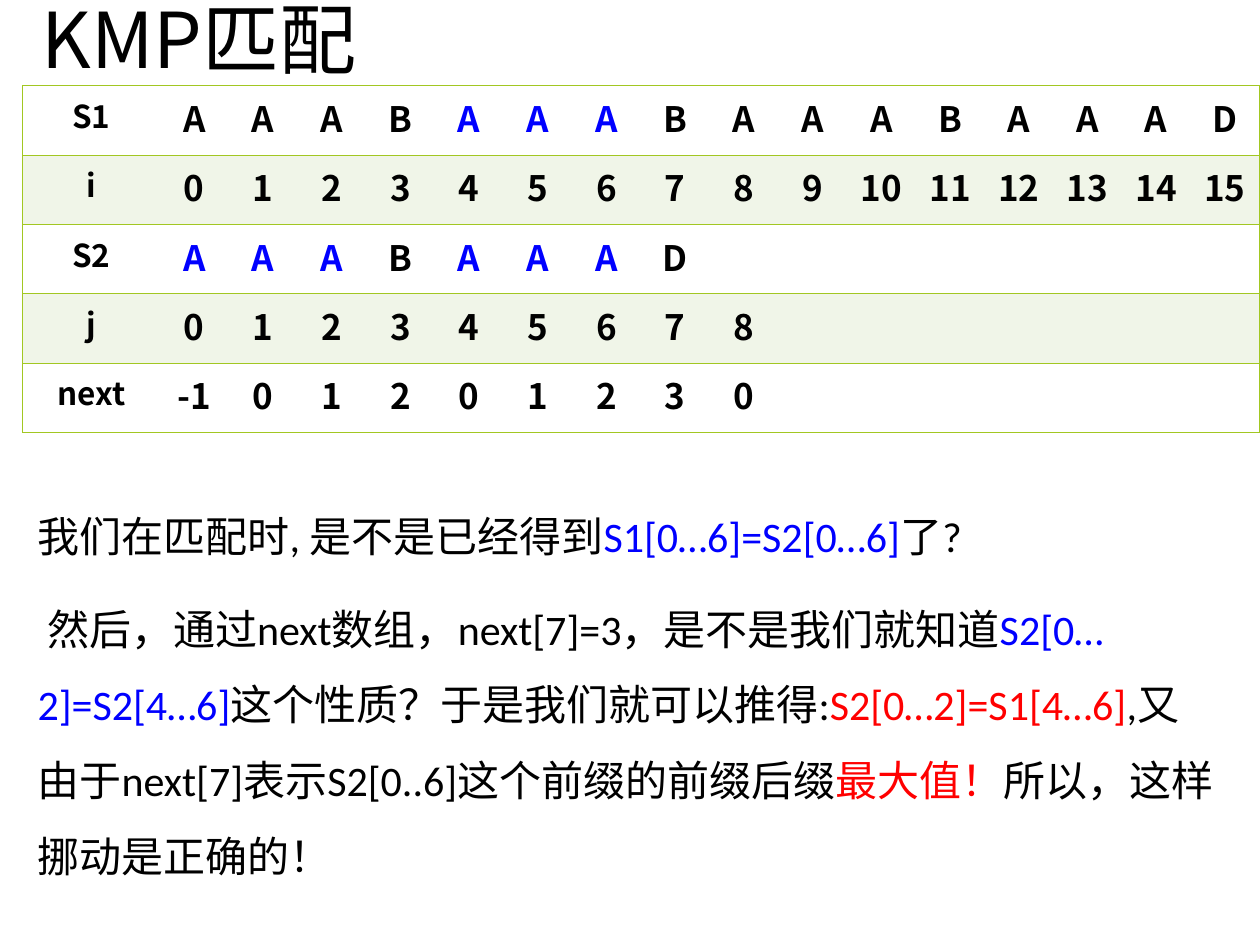
from dataclasses import dataclass

from lxml import etree
from pptx import Presentation
from pptx.dml.color import RGBColor
from pptx.enum.text import MSO_ANCHOR, PP_ALIGN
from pptx.oxml.ns import qn
from pptx.util import Inches, Pt

CENTER = PP_ALIGN.CENTER
LEFT = PP_ALIGN.LEFT
MIDDLE = MSO_ANCHOR.MIDDLE
TABLE_FONT = "Noto Sans CJK SC"
BODY_FONT = "Calibri"
BLACK, BLUE, RED = "000000", "0000FF", "FF0000"
BORDER = "A2C722"
ROW_FILLS = ("FFFFFF", "F0F5E8")
LABEL_WIDTH = 1.09
TABLE_WIDTH = 9.82
VALUE_COUNT = 16
ROW_HEIGHT = 0.55


@dataclass(frozen=True)
class TableRow:
    label: str
    values: tuple[str, ...]
    blue_columns: tuple[int, ...] = ()


@dataclass(frozen=True)
class Span:
    text: str
    color: str = BLACK


ROWS = (
    TableRow("S1", tuple("AAABAAABAAABAAAD"), (4, 5, 6)),
    TableRow("i", tuple(str(i) for i in range(16))),
    TableRow("S2", tuple("AAABAAAD"), (0, 1, 2, 4, 5, 6)),
    TableRow("j", tuple(str(j) for j in range(9))),
    TableRow("next", ("-1", "0", "1", "2", "0", "1", "2", "3", "0")),
)

EXPLANATION = (
    (
        Span("我们在匹配时, 是不是已经得到"),
        Span("S1[0…6]=S2[0…6]", BLUE),
        Span("了?"),
    ),
    (
        Span(" 然后，通过next数组，next[7]=3，是不是我们就知道"),
        Span("S2[0…2]=S2[4…6]", BLUE),
        Span("这个性质？于是我们就可以推得:"),
        Span("S2[0…2]=S1[4…6]", RED),
        Span(",又由于next[7]表示S2[0..6]这个前缀的前缀后缀"),
        Span("最大值！", RED),
        Span("所以，这样挪动是正确的！"),
    ),
)


def rgb(color: str) -> RGBColor:
    return RGBColor.from_string(color)


def add_span(para, span: Span, typeface: str) -> None:
    run = para.add_run()
    run.text = span.text
    run.font.color.rgb = rgb(span.color)
    run.font.name = typeface
    east_asian = etree.SubElement(run.font._element, qn("a:ea"))
    east_asian.set("typeface", typeface)


def set_border(cell, side: str, color: str | None) -> None:
    line = etree.SubElement(cell._tc.get_or_add_tcPr(), qn(f"a:ln{side}"))
    if color is None:
        etree.SubElement(line, qn("a:noFill"))
        return
    line.set("w", str(Pt(0.45)))
    fill = etree.SubElement(line, qn("a:solidFill"))
    etree.SubElement(fill, qn("a:srgbClr")).set("val", color)


def draw_title(page) -> None:
    title = page.shapes.title
    title.left, title.top = Inches(0.23), Inches(-0.38)
    title.width, title.height = Inches(8.63), Inches(1.45)
    frame = title.text_frame
    frame.vertical_anchor = MIDDLE
    para = frame.paragraphs[0]
    para.alignment = LEFT
    para.line_spacing = 0.9
    add_span(para, Span("KMP匹配"), TABLE_FONT)
    para.font.size = Pt(44)


def draw_cell(cell, text: str, size: int, color: str, fill: str,
              is_first: bool, is_last: bool) -> None:
    set_border(cell, "L", BORDER if is_first else None)
    set_border(cell, "R", BORDER if is_last else None)
    set_border(cell, "T", BORDER)
    set_border(cell, "B", BORDER)
    cell.fill.solid()
    cell.fill.fore_color.rgb = rgb(fill)
    if text:
        para = cell.text_frame.paragraphs[0]
        para.alignment = CENTER
        add_span(para, Span(text, color), TABLE_FONT)
        para.font.size = Pt(size)
        para.font.bold = True


def draw_table(page, rows: tuple[TableRow, ...]) -> None:
    table = page.shapes.add_table(
        len(rows), VALUE_COUNT + 1, Inches(0.18), Inches(0.68),
        Inches(TABLE_WIDTH), Inches(ROW_HEIGHT * len(rows))).table
    table.first_row = False
    table.horz_banding = False
    value_width = (TABLE_WIDTH - LABEL_WIDTH) / VALUE_COUNT
    for index, column in enumerate(table.columns):
        column.width = Inches(value_width if index else LABEL_WIDTH)
    for row_index, row in enumerate(rows):
        table.rows[row_index].height = Inches(ROW_HEIGHT)
        fill = ROW_FILLS[row_index % 2]
        draw_cell(table.cell(row_index, 0), row.label, 18, BLACK, fill, True, False)
        for index in range(VALUE_COUNT):
            text = row.values[index] if index < len(row.values) else ""
            color = BLUE if index in row.blue_columns else BLACK
            draw_cell(table.cell(row_index, index + 1), text, 20, color, fill,
                      False, index == VALUE_COUNT - 1)


def draw_explanation(page, paragraphs: tuple[tuple[Span, ...], ...]) -> None:
    box = page.shapes.add_textbox(Inches(0.2), Inches(3.8), Inches(9.53), Inches(3.33))
    frame = box.text_frame
    frame.word_wrap = True
    for index, spans in enumerate(paragraphs):
        para = frame.add_paragraph() if index else frame.paragraphs[0]
        para.line_spacing = 1.5
        para.space_before = Pt(10 if index else 0)
        for span in spans:
            add_span(para, span, BODY_FONT)
        para.font.size = Pt(24)


def main() -> None:
    deck = Presentation()
    deck.slide_width, deck.slide_height = Inches(10), Inches(7.5)
    page = deck.slides.add_slide(deck.slide_layouts[5])
    draw_title(page)
    draw_explanation(page, EXPLANATION)
    draw_table(page, ROWS)
    deck.save("out.pptx")


if __name__ == "__main__":
    main()
